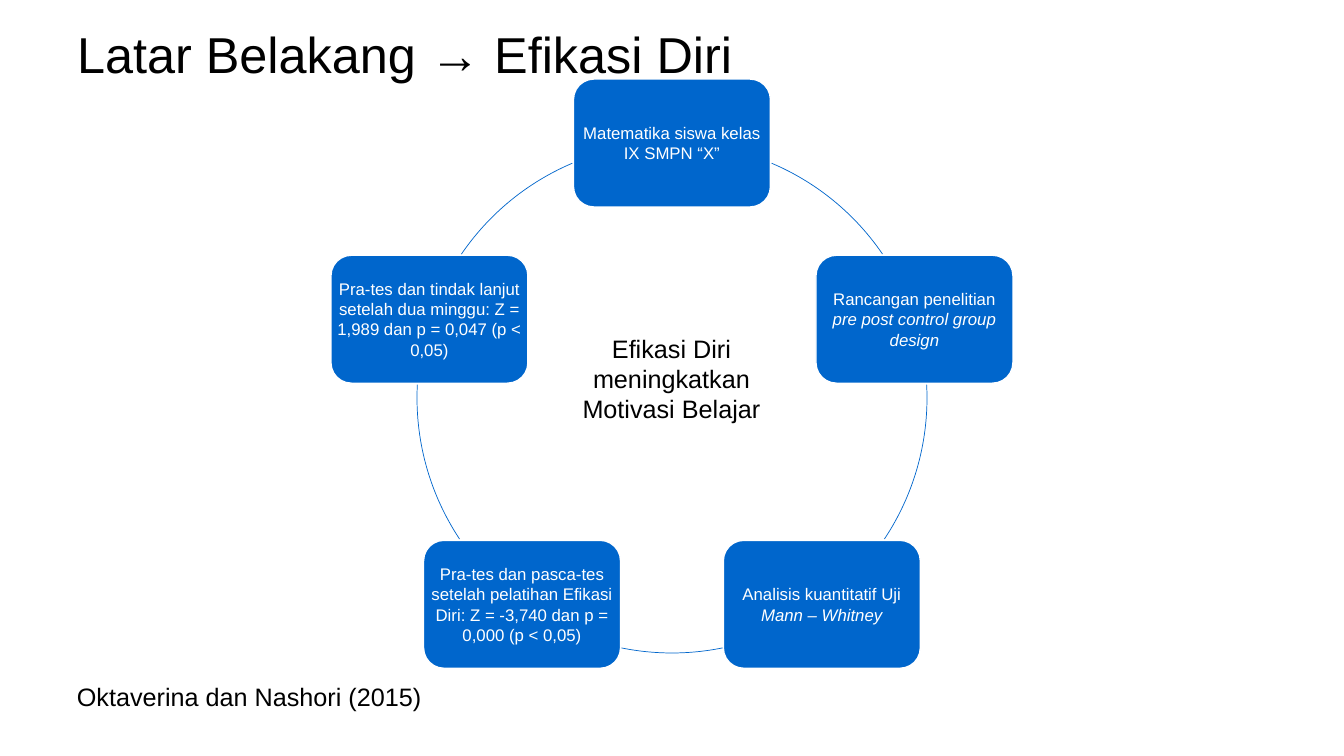
from math import cos, radians, sin

from pptx import Presentation
from pptx.dml.color import RGBColor
from pptx.enum.shapes import MSO_SHAPE as Shape
from pptx.enum.text import MSO_ANCHOR as Anchor, PP_ALIGN as Align
from pptx.util import Emu, Pt

SLIDE_W, SLIDE_H = 1344, 756
EMU_PER_PX = 12192000 / SLIDE_W
COLORS = {"blue": "0066CC", "white": "FFFFFF", "black": "000000"}


def px(*lengths):
    return [Emu(round(n * EMU_PER_PX)) for n in lengths]


def style(paragraph, size, color, align):
    paragraph.alignment = align
    for run in paragraph.runs:
        run.font.size = Pt(size)
        run.font.name = "Arial"
        run.font.color.rgb = RGBColor.from_string(COLORS[color])


prs = Presentation()
prs.slide_width, prs.slide_height = px(SLIDE_W, SLIDE_H)
slide = prs.slides.add_slide(prs.slide_layouts[5])
shapes = slide.shapes

# Title
title = shapes.title
title.left, title.top, title.width, title.height = px(67, 21, 1210, 65)
title.text_frame.text = "Latar Belakang → Efikasi Diri"
title.text_frame.vertical_anchor = Anchor.MIDDLE
style(title.text_frame.paragraphs[0], 36, "black", Align.LEFT)

# Cycle: five steps, clockwise from the top, each followed by its arc
CENTER_X, CENTER_Y, RADIUS = 672, 398, 255
STEP_W, STEP_H = 197, 128
steps = [  # plain text, italic text, arc start and end in degrees
    ("Matematika siswa kelas IX SMPN “X”", "", 293, 325.65),
    ("Rancangan penelitian ", "pre post control group design", 357.02, 33.58),
    ("Analisis kuantitatif Uji ", "Mann – Whitney", 78.56, 101.45),
    ("Pra-tes dan pasca-tes setelah pelatihan Efikasi Diri: "
     "Z = -3,740 dan p = 0,000 (p < 0,05)", "", 146.42, 182.98),
    ("Pra-tes dan tindak lanjut setelah dua minggu: "
     "Z = 1,989 dan p = 0,047 (p < 0,05)", "", 214.35, 247),
]
for i, (plain, italic, arc_start, arc_end) in enumerate(steps):
    angle = radians(-90 + i * 360 / len(steps))
    left = CENTER_X + RADIUS * cos(angle) - STEP_W / 2
    top = CENTER_Y + RADIUS * sin(angle) - STEP_H / 2
    step = shapes.add_shape(Shape.ROUNDED_RECTANGLE, *px(left, top, STEP_W, STEP_H))
    step.adjustments[0] = 0.16
    step.shadow.inherit = False
    step.fill.solid()
    step.fill.fore_color.rgb = RGBColor.from_string(COLORS["blue"])
    step.line.color.rgb = RGBColor.from_string(COLORS["white"])
    step.line.width = Pt(1)

    frame = step.text_frame
    frame.word_wrap = True
    frame.vertical_anchor = Anchor.MIDDLE
    frame.margin_left = frame.margin_right = 0
    frame.margin_top = frame.margin_bottom = 0
    frame.text = plain
    label = frame.paragraphs[0]
    if italic:
        emphasis = label.add_run()
        emphasis.text = italic
        emphasis.font.italic = True
    style(label, 12, "white", Align.CENTER)

    arc = shapes.add_shape(Shape.ARC, *px(CENTER_X - RADIUS, CENTER_Y - RADIUS,
                                          2 * RADIUS, 2 * RADIUS))
    # An adjustment of 0.6 is one degree
    arc.adjustments[0] = arc_start * 0.6
    arc.adjustments[1] = arc_end * 0.6
    arc.shadow.inherit = False
    arc.fill.background()
    arc.line.color.rgb = RGBColor.from_string(COLORS["blue"])
    arc.line.width = Pt(0.5)

# Conclusion in the middle and citation at the bottom
notes = [
    ("Efikasi Diri meningkatkan Motivasi Belajar", (552, 328, 239, 102), True, Align.CENTER),
    ("Oktaverina dan Nashori (2015)", (67, 676, 365, 40), False, Align.LEFT),
]
for text, box, wrap, align in notes:
    note = shapes.add_textbox(*px(*box)).text_frame
    note.word_wrap = wrap
    note.text = text
    style(note.paragraphs[0], 18, "black", align)

prs.save("out.pptx")
